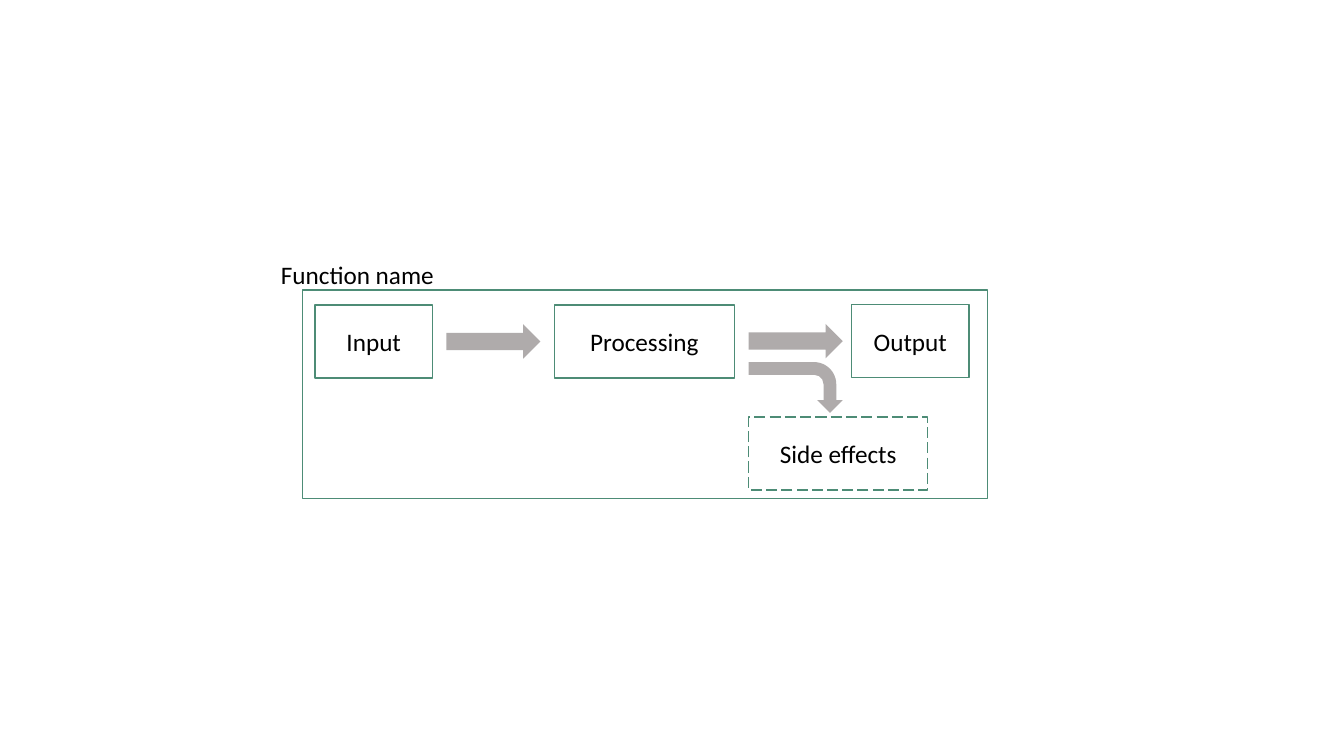
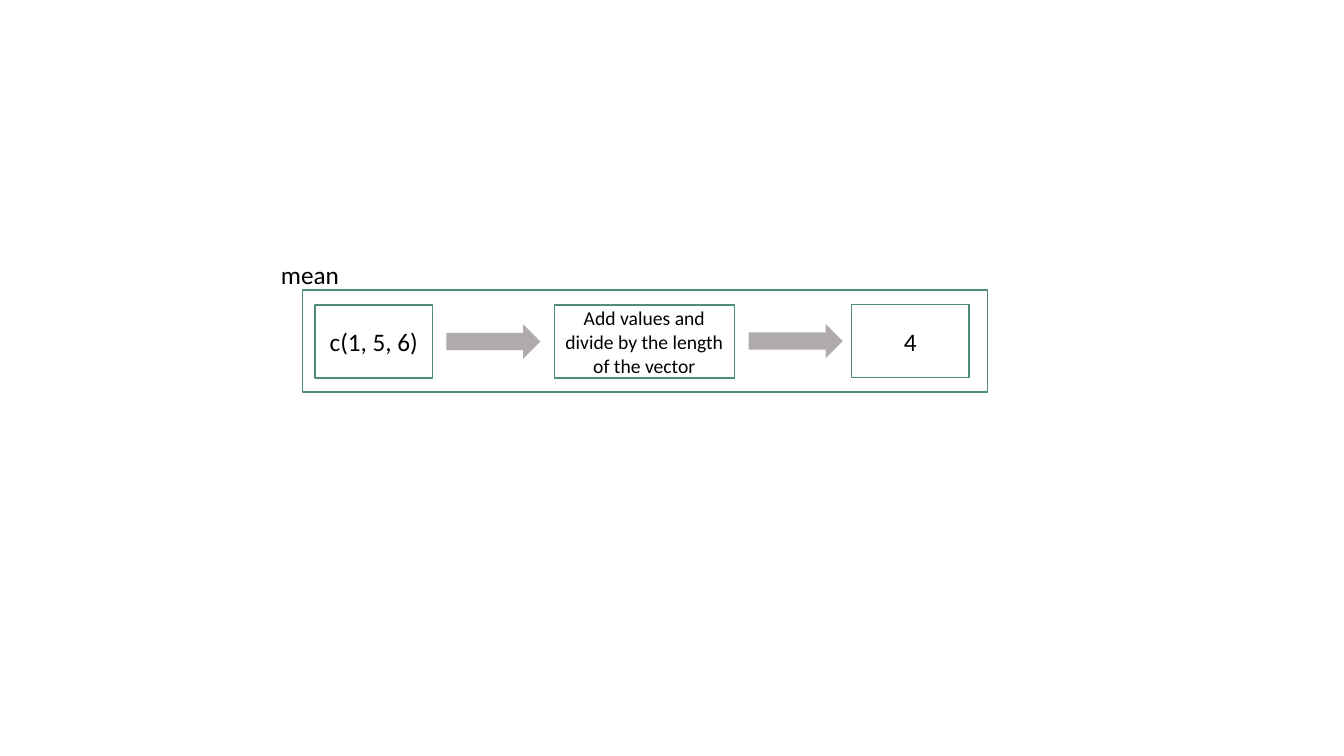
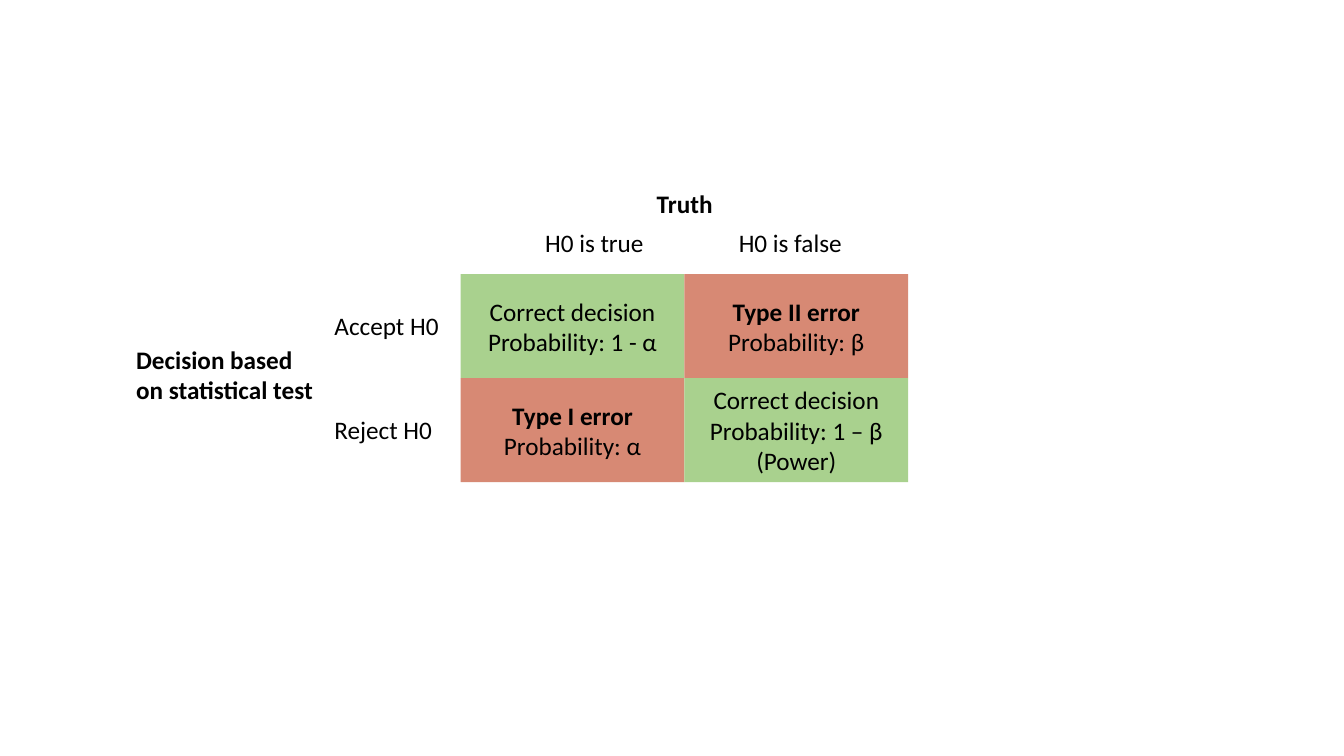
from pptx import Presentation
from pptx import util as u
from pptx.dml.color import RGBColor
from pptx.enum import dml, shapes, text

BLACK = RGBColor(0x00, 0x00, 0x00)
TEAL = RGBColor(0x4D, 0x8C, 0x76)
GRAY = RGBColor(0xAF, 0xAB, 0xAB)
GREEN = RGBColor(0xA9, 0xD1, 0x8E)
RED = RGBColor(0xD7, 0x89, 0x74)

FONT = {"name": "Calibri", "size": u.Pt(18), "bold": False}
KIND = shapes.MSO_SHAPE
BOX_HEIGHT = 1.84
STEP_TOP = 7.69
FLOW_LEFT = 18.87
ARROW_SIZE = (2.37, 0.87)


def write_lines(frame, lines, align, **changes):
    for index, line in enumerate(lines):
        para = frame.paragraphs[0] if index == 0 else frame.add_paragraph()
        para.alignment = align
        span = para.add_run()
        span.text = line
        for name, value in {**FONT, **changes}.items():
            setattr(span.font, name, value)
        span.font.color.rgb = BLACK


def add_shape(page, kind, area, fill=None, line=None):
    shape = page.shapes.add_shape(kind, *map(u.Cm, area))
    shape.shadow.inherit = False
    if fill is None:
        shape.fill.background()
    else:
        shape.fill.solid()
        shape.fill.fore_color.rgb = fill
    if line is None:
        shape.line.fill.background()
    else:
        shape.line.color.rgb = line
        shape.line.width = u.Pt(1)
    return shape


def add_box(page, area, words="", **changes):
    box = add_shape(page, KIND.RECTANGLE, area, line=TEAL)
    if words:
        write_lines(box.text_frame, [words], text.PP_ALIGN.CENTER, **changes)
    return box


def add_label(page, area, words, wrap=False, **changes):
    frame = page.shapes.add_textbox(*map(u.Cm, area)).text_frame
    settings = {"word_wrap": wrap, "auto_size": text.MSO_AUTO_SIZE.SHAPE_TO_FIT_TEXT}
    for name, value in settings.items():
        setattr(frame, name, value)
    write_lines(frame, [words], text.PP_ALIGN.LEFT, **changes)


def add_cell(page, area, fill, lines):
    cell = add_shape(page, KIND.RECTANGLE, area, fill=fill)
    write_lines(cell.text_frame, lines, text.PP_ALIGN.CENTER)
    if "error" in lines[0]:
        cell.text_frame.paragraphs[0].runs[0].font.bold = True


def add_function(page, name, name_width, steps, frame_height, process_size=18):
    given, process, result = steps
    add_box(page, (13.97, STEP_TOP, 4.54, BOX_HEIGHT), process, size=u.Pt(process_size))
    add_box(page, (21.46, STEP_TOP - 0.01, 2.96, BOX_HEIGHT), result)
    add_box(page, (7.94, STEP_TOP, 2.96, BOX_HEIGHT), given)
    for left, top in ((11.25, 8.17), (FLOW_LEFT, 8.16)):
        add_shape(page, KIND.RIGHT_ARROW, (left, top, *ARROW_SIZE), fill=GRAY)
    add_label(page, (6.83, 6.4, name_width, 1.03), name)
    add_box(page, (7.62, 7.31, 17.27, frame_height))


def add_side_effects(page):
    arrow = add_shape(page, KIND.BENT_ARROW, (19.41, 8.58, 1.28, 2.37), fill=GRAY)
    arrow.rotation = 90
    box = add_box(page, (FLOW_LEFT, 10.51, 4.51, BOX_HEIGHT), "Side effects")
    box.line.dash_style = dml.MSO_LINE.LONG_DASH


def add_decisions(page):
    left, top, width, height = 11.61, 6.91, 5.64, 2.62
    cells = [
        (GREEN, ["Correct decision", "Probability: 1 - α"]),
        (RED, ["Type II error", "Probability: β"]),
        (RED, ["Type I error", "Probability: α"]),
        (GREEN, ["Correct decision", "Probability: 1 – β", "(Power)"]),
    ]
    for index, (fill, lines) in enumerate(cells):
        row, column = divmod(index, 2)
        area = (left + column * width, top + row * height, width, height)
        add_cell(page, area, fill, lines)

    add_label(page, (16.3, 4.63, 1.93, 1.03), "Truth", bold=True)
    for start, span_width, words in ((13.49, 3.02, "H0 is true"), (18.37, 3.12, "H0 is false")):
        add_label(page, (start, 5.6, span_width, 1.03), words)
    for row, (span_width, words) in enumerate(((3.18, "Accept H0"), (3.0, "Reject H0"))):
        add_label(page, (8.18, 7.7 + row * height, span_width, 1.03), words)
    add_label(page, (3.18, 8.54, 5, 1.8), "Decision based on statistical test", wrap=True, bold=True)


def main():
    deck = Presentation()
    deck.slide_width, deck.slide_height = u.Cm(33.87), u.Cm(19.05)
    general, mean, decisions = (deck.slides.add_slide(deck.slide_layouts[6]) for _ in range(3))

    add_function(general, "Function name", 4.42, ("Input", "Processing", "Output"), 5.26)
    add_side_effects(general)
    add_function(
        mean,
        "mean",
        1.98,
        ("c(1, 5, 6)", "Add values and divide by the length of the vector", "4"),
        2.57,
        process_size=14,
    )
    add_decisions(decisions)
    deck.save("out.pptx")


if __name__ == "__main__":
    main()
